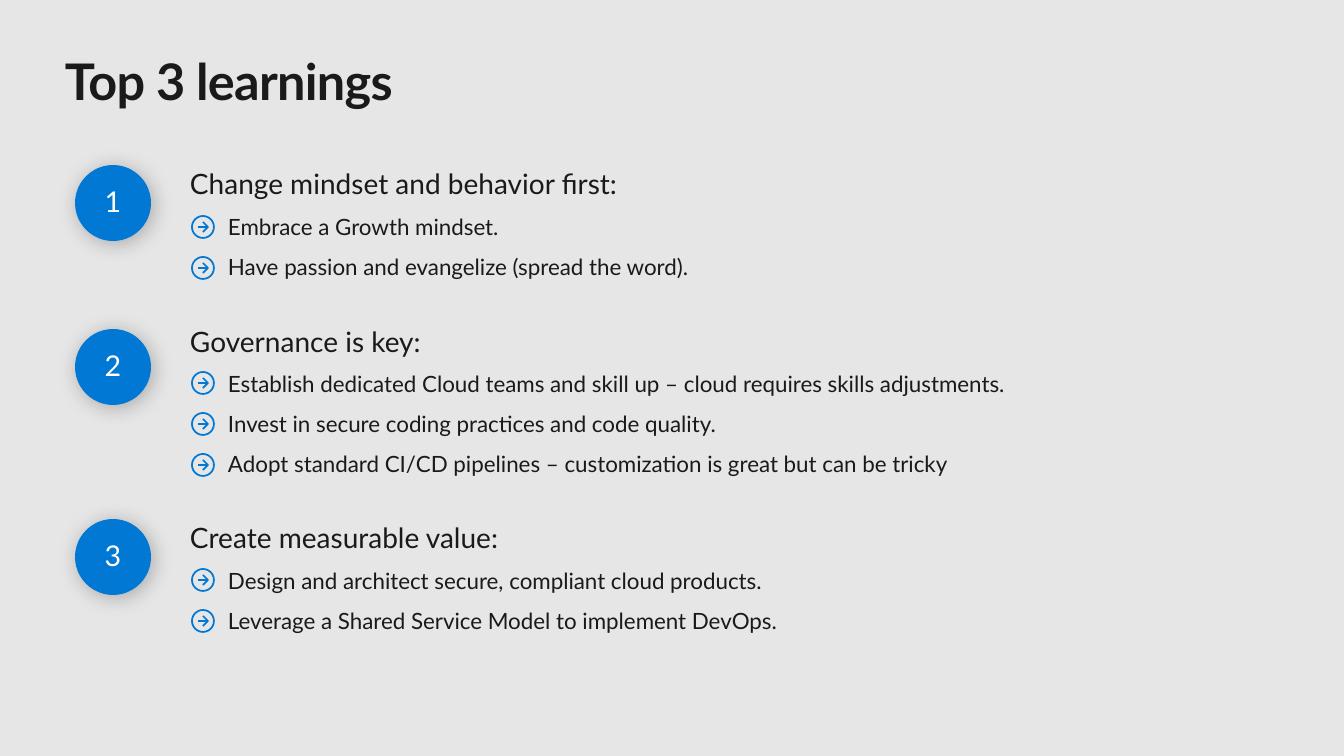
from lxml import etree
from pptx import Presentation
from pptx.dml.color import RGBColor as RGB
from pptx.enum.shapes import MSO_SHAPE as Shape
from pptx.enum.text import MSO_ANCHOR as Anchor, PP_ALIGN as Align
from pptx.oxml import parse_xml
from pptx.util import Pt


class Theme:
    face = "Lato"
    back = RGB.from_string("E6E6E6")
    ink = RGB.from_string("1A1A1A")
    blue = RGB.from_string("0078D4")
    white = RGB.from_string("FFFFFF")
    title = 36
    head = 20
    item = 16
    badge = 20.4


WIDE, HIGH = 1344, 756
EMU = 12192000 / WIDE
SHADE = """
<a:effectLst xmlns:a="http://schemas.openxmlformats.org/drawingml/2006/main">
  <a:outerShdw blurRad="190500" dist="38100" dir="2700000" algn="ctr" rotWithShape="0">
    <a:srgbClr val="000000"><a:alpha val="25000"/></a:srgbClr>
  </a:outerShdw>
</a:effectLst>"""


def px(*sizes):
    """Turn pixel lengths into a list of EMU lengths."""
    return [round(size * EMU) for size in sizes]


def style(para, text, size, color, bold=False):
    """Fill a paragraph with one run, set its font and return the run."""
    run = para.add_run()
    run.text = text
    font = para.font
    font.name, font.size, font.bold = Theme.face, Pt(size), bold
    font.color.rgb = color
    return run


# Badge top, first icon top, heading, items
topics = [
    (165, 216, "Change mindset and behavior first:", [
        "Embrace a Growth mindset.",
        "Have passion and evangelize (spread the word).",
    ]),
    (329, 372, "Governance is key:", [
        "Establish dedicated Cloud teams and skill up – cloud requires skills adjustments.",
        "Invest in secure coding practices and code quality.",
        "Adopt standard CI/CD pipelines – customization is great but can be tricky",
    ]),
    (519, 569, "Create measurable value:", [
        "Design and architect secure, compliant cloud products.",
        "Leverage a Shared Service Model to implement DevOps.",
    ]),
]

deck = Presentation()
deck.slide_width, deck.slide_height = px(WIDE, HIGH)
slide = deck.slides.add_slide(deck.slide_layouts[6])
slide.background.fill.solid()
slide.background.fill.fore_color.rgb = Theme.back

# Title and body boxes
frames = []
for area in [(65, 50, 1215, 61), (190, 167, 1073, 469)]:
    frame = slide.shapes.add_textbox(*px(*area)).text_frame
    frame.word_wrap = True
    frame.margin_left = frame.margin_top = frame.margin_right = frame.margin_bottom = 0
    frames.append(frame)
title, body = frames
run = style(title.paragraphs[0], "Top 3 learnings", Theme.title, Theme.ink, True)
run._r.get_or_add_rPr().set("spc", "-50")

# Headings and items
for num, (_, _, head, items) in enumerate(topics):
    para = body.add_paragraph() if num else body.paragraphs[0]
    if num:
        para.space_before = Pt(31.4)
    style(para, head, Theme.head, Theme.ink)
    for item in items:
        para = body.add_paragraph()
        para._p.get_or_add_pPr().set("marL", str(px(38)[0]))
        para.space_before = Pt(9.2)
        style(para, item, Theme.item, Theme.ink)

# Number badges
for num, (top, *_) in enumerate(topics, 1):
    badge = slide.shapes.add_shape(Shape.OVAL, *px(75, top, 76, 76))
    badge.fill.solid()
    badge.fill.fore_color.rgb = Theme.blue
    badge.line.fill.background()
    badge._element.spPr.append(parse_xml(SHADE))
    frame = badge.text_frame
    frame.word_wrap = False
    frame.vertical_anchor = Anchor.MIDDLE
    frame.margin_left = frame.margin_right = 0
    para = frame.paragraphs[0]
    para.alignment = Align.CENTER
    para.line_spacing = 0.9
    style(para, str(num), Theme.badge, Theme.white)

# Arrow icons beside the items
SIZE, LEFT, STEP, ARM = 22, 192, 41, 5
for _, first, _, items in topics:
    for row in range(len(items)):
        top = first + row * STEP
        x, y = LEFT + SIZE // 2, top + SIZE // 2
        icon = slide.shapes.add_group_shape().shapes
        ring = icon.add_shape(Shape.OVAL, *px(LEFT, top, SIZE, SIZE))
        pen = icon.build_freeform(x, y - ARM, scale=EMU)
        pen.add_line_segments([(x + ARM, y), (x, y + ARM)], close=False)
        pen.move_to(x + ARM, y)
        pen.add_line_segments([(x - ARM, y)], close=False)
        for part in (ring, pen.convert_to_shape()):
            part.shadow.inherit = False
            part.fill.background()
            part.line.color.rgb = Theme.blue
            part.line.width = Pt(1.25)

deck.save("out.pptx")
